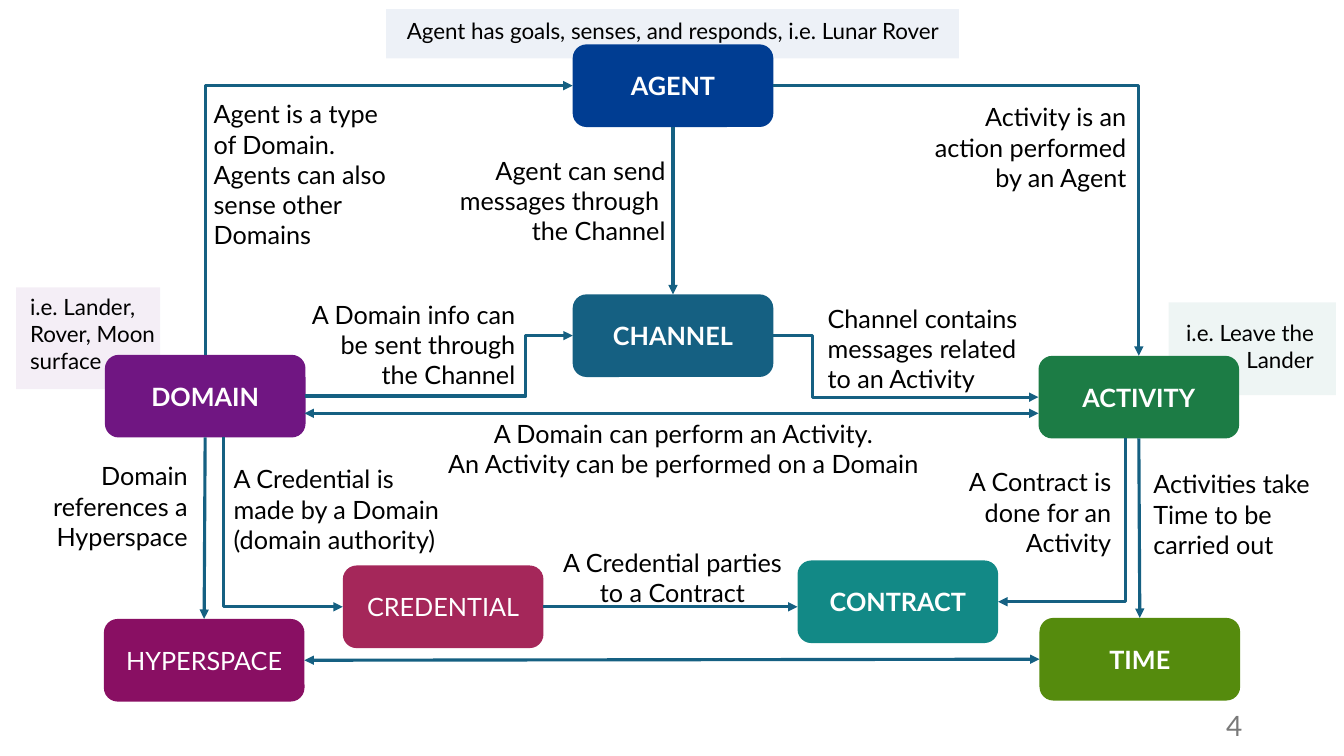
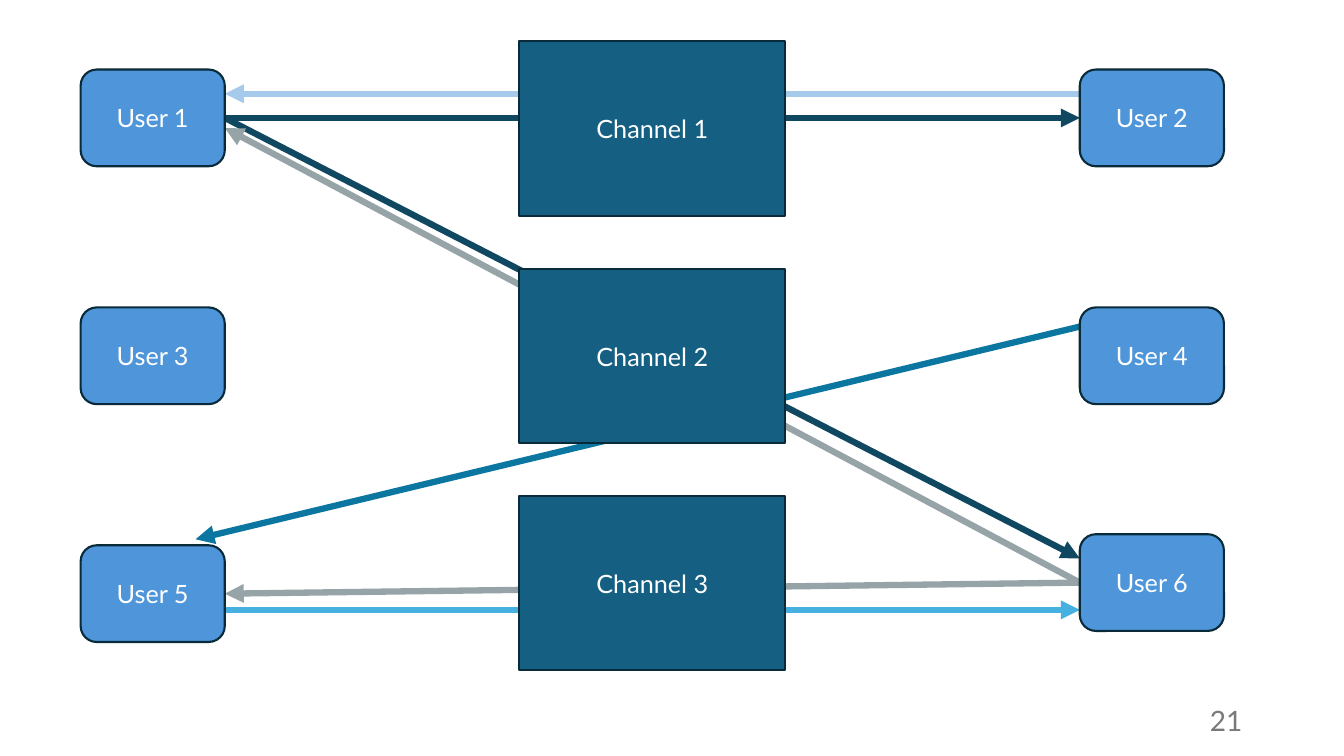
"""Build two diagram slides: a domain ontology and a user/channel message map."""
from lxml.etree import SubElement
from pptx import Presentation
from pptx.dml.color import RGBColor
from pptx.enum.shapes import MSO_CONNECTOR, MSO_SHAPE
from pptx.enum.text import MSO_ANCHOR, PP_ALIGN
from pptx.oxml.ns import qn
from pptx.util import Pt

PX = 9144
FONT = "Lato"
BLACK = RGBColor(0x00, 0x00, 0x00)
WHITE = RGBColor(0xFF, 0xFF, 0xFF)
GREY = RGBColor(0x79, 0x79, 0x79)
TEAL = RGBColor(0x15, 0x60, 0x82)
NAVY = RGBColor(0x00, 0x3D, 0x92)
PURPLE = RGBColor(0x70, 0x16, 0x82)
GREEN = RGBColor(0x1C, 0x7C, 0x45)
SEA = RGBColor(0x1B, 0x7D, 0x6A)
LIME = RGBColor(0x55, 0x8B, 0x0D)
CYAN = RGBColor(0x12, 0x89, 0x86)
PLUM = RGBColor(0x89, 0x0F, 0x63)
CRIMSON = RGBColor(0xA5, 0x27, 0x5A)
OUTLINE = RGBColor(0x09, 0x2A, 0x39)
USER_BLUE = RGBColor(0x4E, 0x95, 0xD9)
DEEP = RGBColor(0x10, 0x48, 0x62)
OCEAN = RGBColor(0x0B, 0x76, 0xA0)
SKY = RGBColor(0x46, 0xB1, 0xE1)
PALE = RGBColor(0xA6, 0xCA, 0xEC)
SILVER = RGBColor(0x96, 0xA4, 0xA8)
LEFT, CENTER, RIGHT = PP_ALIGN.LEFT, PP_ALIGN.CENTER, PP_ALIGN.RIGHT
RECT, ROUND = MSO_SHAPE.RECTANGLE, MSO_SHAPE.ROUNDED_RECTANGLE
TOP_SIDE, LEFT_SIDE, BOTTOM_SIDE, RIGHT_SIDE = range(4)


def add_text(s, text, box, kind=None, fill=None, alpha=None, line=None, size=18,
             color=BLACK, bold=False, align=LEFT, anchor=MSO_ANCHOR.TOP):
    """Add a text box, or a filled shape when kind is given."""
    box = [v * PX for v in box]
    if kind is None:
        sp = s.shapes.add_textbox(*box)
    else:
        sp = s.shapes.add_shape(kind, *box)
        sp.shadow.inherit = False
        sp.fill.solid()
        sp.fill.fore_color.rgb = fill
        if alpha:
            clr = sp.fill._xPr.find(".//" + qn("a:srgbClr"))
            SubElement(clr, qn("a:alpha")).set("val", str(alpha * 1000))
        if line is None:
            sp.line.fill.background()
        else:
            sp.line.color.rgb = line
            sp.line.width = Pt(1.5)
    tf = sp.text_frame
    tf.word_wrap = True
    tf.vertical_anchor = anchor
    for i, part in enumerate(text.split("\n") if text else []):
        p = tf.paragraphs[0] if i == 0 else tf.add_paragraph()
        p.alignment = align
        r = p.add_run()
        r.text = part
        r.font.name, r.font.size, r.font.bold = FONT, Pt(size), bold
        r.font.color.rgb = color
    return sp


def add_line(s, begin, end, color=TEAL, width=2.25, arrows=("tailEnd",), bend=None, adj=None):
    """Join two ends, each a point (x, y) or a pair (shape, side)."""
    kind = MSO_CONNECTOR.ELBOW if bend else MSO_CONNECTOR.STRAIGHT
    cx = s.shapes.add_connector(kind, 0, 0, 0, 0)
    if isinstance(begin[0], int):
        cx.begin_x, cx.begin_y = begin[0] * PX, begin[1] * PX
    else:
        cx.begin_connect(*begin)
    if isinstance(end[0], int):
        cx.end_x, cx.end_y = end[0] * PX, end[1] * PX
    else:
        cx.end_connect(*end)
    cx.line.color.rgb = color
    cx.line.width = Pt(width)
    sp_pr = cx._element.spPr
    if bend:
        geom = sp_pr.find(qn("a:prstGeom"))
        geom.set("prst", bend)
        if adj:
            gd = SubElement(geom.find(qn("a:avLst")), qn("a:gd"))
            gd.set("name", "adj1")
            gd.set("fmla", f"val {adj}")
    for arrow in arrows:
        SubElement(sp_pr.find(qn("a:ln")), qn("a:" + arrow)).set("type", "triangle")
    SubElement(sp_pr, qn("a:effectLst"))
    return cx


prs = Presentation()
prs.slide_width, prs.slide_height = 1333 * PX, 750 * PX
slides = []
for number, y in (("4", 700), ("21", 695)):
    s = prs.slides.add_slide(prs.slide_layouts[6])
    add_text(s, number, (942, y, 300, 40), size=20, color=GREY, align=RIGHT,
             anchor=MSO_ANCHOR.MIDDLE)
    slides.append(s)
ontology, messages = slides

for box, fill in (
    ((16, 285, 143, 101), PURPLE),
    ((1159, 300, 166, 92), SEA),
    ((383, 9, 568, 49), NAVY),
):
    add_text(ontology, "", box, kind=RECT, fill=fill, alpha=7)

concepts = {}
for name, x, y, fill, bold in (
    ("ACTIVITY", 1030, 353, GREEN, True),
    ("CHANNEL", 568, 292, TEAL, True),
    ("AGENT", 568, 44, NAVY, True),
    ("DOMAIN", 104, 352, PURPLE, True),
    ("TIME", 1031, 613, LIME, True),
    ("CONTRACT", 791, 556, CYAN, True),
    ("HYPERSPACE", 103, 614, PLUM, False),
    ("CREDENTIAL", 340, 561, CRIMSON, False),
):
    concepts[name] = add_text(ontology, name, (x, y, 199, 82), kind=ROUND, fill=fill,
                              color=WHITE, bold=bold, align=CENTER,
                              anchor=MSO_ANCHOR.MIDDLE)

for text, box, align, size in (
    ("Agent has goals, senses, and responds, i.e. Lunar Rover", (355, 12, 625, 37), CENTER, 16),
    ("i.e. Leave the Lander", (1147, 312, 166, 64), RIGHT, 16),
    ("i.e. Lander, Rover, Moon surface", (20, 286, 169, 91), LEFT, 16),
    ("Agent is a type of Domain. Agents can also sense other Domains",
     (202, 93, 208, 131), LEFT, 18),
    ("Activity is an action performed by an Agent", (916, 96, 211, 101), RIGHT, 18),
    ("Agent can send messages through \nthe Channel", (444, 149, 226, 101), RIGHT, 18),
    ("Channel contains messages related to an Activity", (811, 296, 231, 101), LEFT, 18),
    ("A Domain can perform an Activity. \nAn Activity can be performed on a Domain ",
     (431, 410, 500, 71), CENTER, 18),
    ("A Domain info can be sent through the Channel", (295, 292, 226, 101), RIGHT, 18),
    ("Activities take Time to be carried out", (1134, 460, 202, 101), LEFT, 18),
    ("A Contract is done for an Activity", (910, 458, 202, 101), RIGHT, 18),
    ("A Credential is made by a Domain (domain authority)", (222, 455, 230, 101), LEFT, 18),
    ("A Credential parties to a Contract", (548, 538, 238, 71), CENTER, 18),
    ("Domain references a Hyperspace", (9, 452, 187, 101), RIGHT, 18),
):
    add_text(ontology, text, box, align=align, size=size)

agent, channel, domain = concepts["AGENT"], concepts["CHANNEL"], concepts["DOMAIN"]
activity, contract, time = concepts["ACTIVITY"], concepts["CONTRACT"], concepts["TIME"]
credential, hyperspace = concepts["CREDENTIAL"], concepts["HYPERSPACE"]
both, back = ("headEnd", "tailEnd"), ("headEnd",)
for begin, end, options in (
    ((agent, RIGHT_SIDE), (activity, TOP_SIDE), {"bend": "bentConnector2"}),
    ((agent, LEFT_SIDE), (domain, TOP_SIDE), {"bend": "bentConnector2", "arrows": back}),
    ((credential, LEFT_SIDE), (222, 434), {"bend": "bentConnector2", "arrows": back}),
    ((contract, RIGHT_SIDE), (1116, 435), {"bend": "bentConnector2", "arrows": back}),
    ((channel, RIGHT_SIDE), (activity, LEFT_SIDE), {"bend": "bentConnector3", "adj": 14900}),
    ((domain, RIGHT_SIDE), (channel, LEFT_SIDE), {"bend": "bentConnector3", "adj": 82500}),
    ((hyperspace, RIGHT_SIDE), (time, LEFT_SIDE), {"arrows": both}),
    ((302, 410), (1030, 410), {"arrows": both}),
    ((domain, BOTTOM_SIDE), (hyperspace, TOP_SIDE), {}),
    ((credential, RIGHT_SIDE), (791, 602), {}),
    ((activity, BOTTOM_SIDE), (time, TOP_SIDE), {}),
    ((agent, BOTTOM_SIDE), (channel, TOP_SIDE), {}),
):
    add_line(ontology, begin, end, **options)

node = {"line": OUTLINE, "color": WHITE, "align": CENTER, "anchor": MSO_ANCHOR.MIDDLE}
for i, y in enumerate((41, 267, 492), start=1):
    add_text(messages, f"Channel {i}", (515, y, 264, 173), kind=RECT, fill=TEAL, **node)
users = {}
for i, (x, y) in enumerate(
    ((80, 69), (1071, 69), (80, 305), (1071, 305), (80, 541), (1071, 530)), start=1
):
    users[i] = add_text(messages, f"User {i}", (x, y, 143, 96), kind=ROUND,
                        fill=USER_BLUE, **node)

for i, (begin, end, color) in enumerate((
    ((users[1], RIGHT_SIDE), (1071, 554), DEEP),
    ((1071, 324), (194, 535), OCEAN),
    ((223, 605), (1071, 605), SKY),
    ((users[1], RIGHT_SIDE), (users[2], LEFT_SIDE), DEEP),
    ((1071, 93), (223, 93), PALE),
    ((users[6], LEFT_SIDE), (users[5], RIGHT_SIDE), SILVER),
    ((users[6], LEFT_SIDE), (223, 127), SILVER),
)):
    cx = add_line(messages, begin, end, color=color, width=4.5)
    messages.shapes._spTree.insert(2 + i, cx._element)

prs.save("out.pptx")
